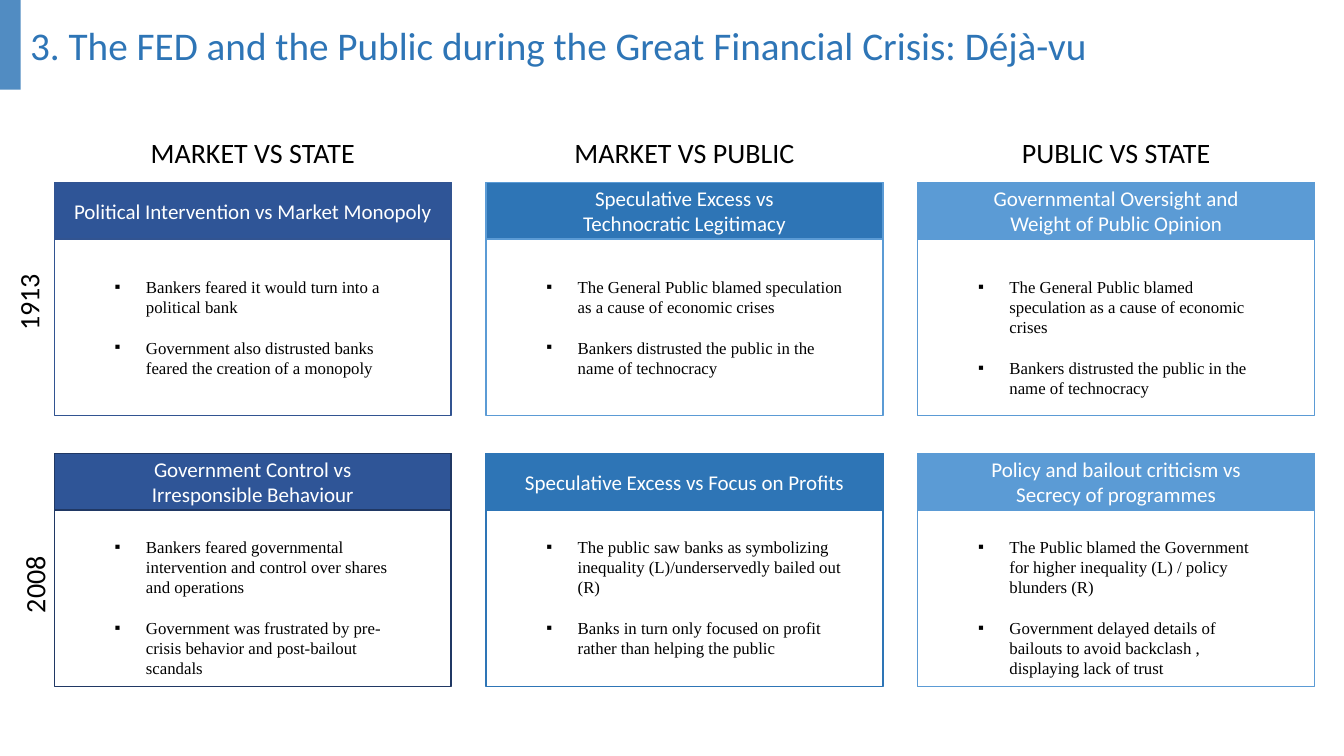
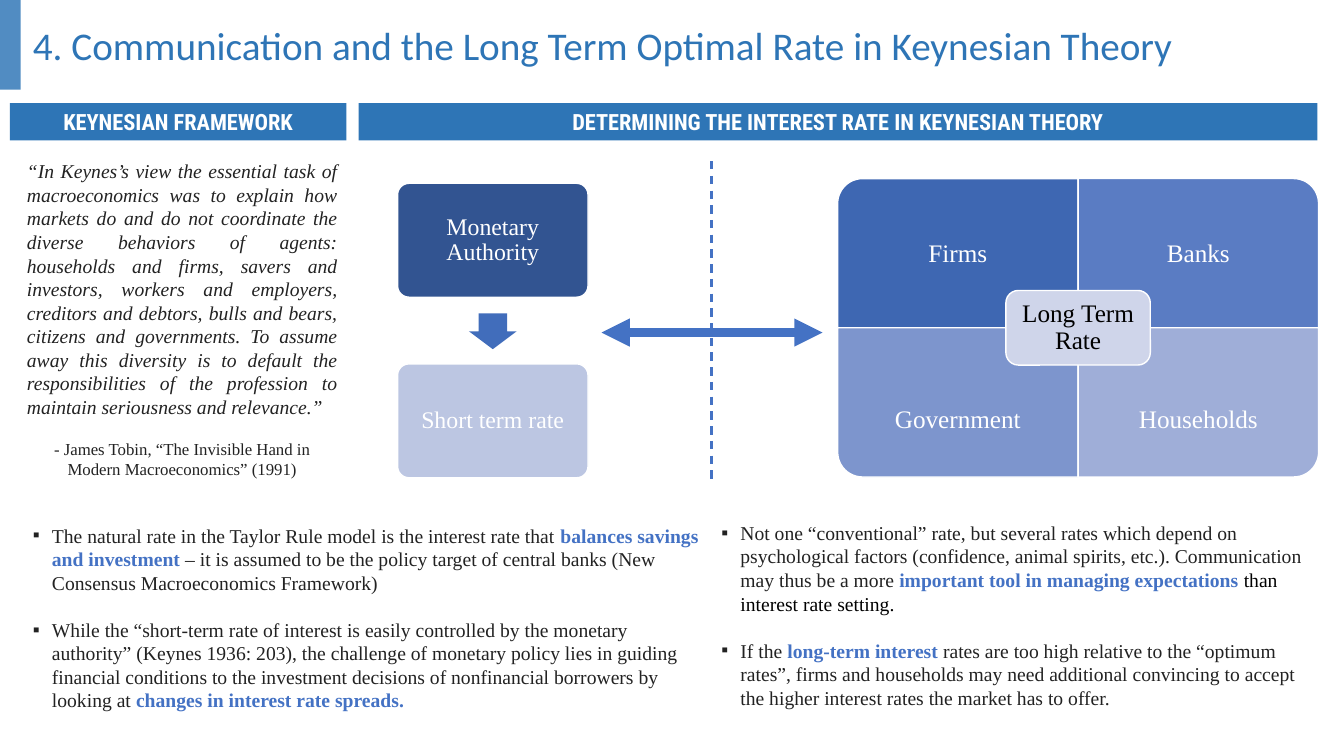
from lxml import etree
from pptx import Presentation
from pptx.dml.color import RGBColor
from pptx.enum.dml import MSO_LINE
from pptx.enum.shapes import MSO_CONNECTOR, MSO_SHAPE as SHAPE
from pptx.enum.text import MSO_ANCHOR as ANCHOR, PP_ALIGN as ALIGN
from pptx.oxml.ns import qn
from pptx.util import Cm, Pt


class Theme:
    blue = "2E75B6"
    navy = "2F5597"
    sky = "5B9BD5"
    accent = "4472C4"
    white = "FFFFFF"
    black = "000000"
    ink = "222222"
    sans = "Calibri"
    condensed = "Roboto Condensed"
    serif = "Times New Roman"
    title = 28
    heading = 20
    quadrant = 18
    step = 17
    bar = 16
    card = 15
    body = 14
    small = 12
    line_gap = 1.2  # height of one empty line, in type sizes


def add_box(slide, kind, left, top, width, height, fill=None, line=None, rotation=0):
    """Add a preset shape, or a text box if kind is None; lengths in centimetres."""
    place = Cm(left), Cm(top), Cm(width), Cm(height)
    if kind is None:
        return slide.shapes.add_textbox(*place)
    shape = slide.shapes.add_shape(kind, *place)
    shape.shadow.inherit = False
    shape.rotation = rotation
    if fill:
        shape.fill.solid()
        shape.fill.fore_color.rgb = RGBColor.from_string(fill)
    else:
        shape.fill.background()
    if line:
        shape.line.color.rgb = RGBColor.from_string(line)
        shape.line.width = Pt(1)
    else:
        shape.line.fill.background()
    return shape


def write_text(shape, *paragraphs, size=Theme.body, font=Theme.serif, color=Theme.black,
               bold=False, italic=False, align=ALIGN.LEFT, anchor=ANCHOR.TOP,
               spacing=None, gap=0, bullet=None, inset=None):
    """Append paragraphs; each is a string or a list of (text, run format) pairs.

    bullet is (left margin, hanging indent) and inset the side margin, in centimetres.
    """
    frame = shape.text_frame
    frame.word_wrap = True
    frame.vertical_anchor = anchor
    if inset is not None:
        frame.margin_left = frame.margin_right = Cm(inset)
        frame.margin_top = frame.margin_bottom = Cm(inset)
    for content in paragraphs:
        first = frame.paragraphs[0]
        paragraph = frame.add_paragraph() if first.runs else first
        paragraph.alignment = align
        paragraph.line_spacing = spacing
        paragraph.space_after = Pt(gap)
        if bullet:
            margin, hanging = bullet
            properties = paragraph._p.get_or_add_pPr()
            properties.set("marL", str(Cm(margin)))
            properties.set("indent", str(-Cm(hanging)))
            etree.SubElement(properties, qn("a:buFont")).set("typeface", font)
            etree.SubElement(properties, qn("a:buChar")).set("char", "▪")
        for text, changes in [(content, {})] if isinstance(content, str) else content:
            run = paragraph.add_run()
            run.text = text
            run.font.name = font
            run.font.size = Pt(size)
            run.font.italic = italic
            run.font.bold = changes.get("bold", bold)
            run.font.color.rgb = RGBColor.from_string(changes.get("color", color))


presentation = Presentation()
presentation.slide_width = Cm(33.87)
presentation.slide_height = Cm(19.05)

# Band and title shared by both slides
slides = []
for title, left in [
    ("3. The FED and the Public during the Great Financial Crisis: Déjà-vu", 0.51),
    ("4. Communication and the Long Term Optimal Rate in Keynesian Theory", 0.58),
]:
    slide = presentation.slides.add_slide(presentation.slide_layouts[6])
    band = add_box(slide, SHAPE.RECTANGLE, 0, 0, 0.52, 2.26, Theme.blue)
    band_color = band._element.spPr.find(qn("a:solidFill"))[0]
    etree.SubElement(band_color, qn("a:alpha")).set("val", "83000")
    write_text(add_box(slide, None, left, 0.4, 33, 1.45), title,
               size=Theme.title, font=Theme.sans, color=Theme.blue)
    slides.append(slide)
conflicts, theory = slides

# Slide 1: grid of conflicts, one column per pair and one row per year
card_left, card_pitch, card_width, card_height = 1.37, 10.88, 10, 5.87
header_height = 1.42
label_width, label_height = 5.89, 1.12
columns = [  # heading, header fill, bullet text width
    ("MARKET VS STATE", Theme.navy, 9.04),
    ("MARKET VS PUBLIC", Theme.blue, 9.4),
    ("PUBLIC VS STATE", Theme.sky, 9.04),
]
public_and_banks = ["The General Public blamed speculation as a cause of economic crises",
                    "Bankers distrusted the public in the name of technocracy"]
rows = [  # year, label centre, card top, bullet top, cards (outline, header, bullets)
    ("1913", (0.71, 7.62), 4.6, 6.85, [
        ("325491", ["Political Intervention vs Market Monopoly"],
         ["Bankers feared it would turn into a political bank",
          "Government also distrusted banks feared the creation of a monopoly"]),
        (Theme.sky, ["Speculative Excess vs", "Technocratic Legitimacy"], public_and_banks),
        (Theme.sky, ["Governmental Oversight and", "Weight of Public Opinion"],
         public_and_banks),
    ]),
    ("2008", (0.86, 14.73), 11.43, 13.4, [
        ("203864", ["Government Control vs", "Irresponsible Behaviour"],
         ["Bankers feared governmental intervention and control over shares and operations",
          "Government was frustrated by pre-crisis behavior and post-bailout scandals"]),
        (Theme.blue, ["Speculative Excess vs Focus on Profits"],
         ["The public saw banks as symbolizing inequality (L)/underservedly bailed out (R)",
          "Banks in turn only focused on profit rather than helping the public"]),
        (Theme.sky, ["Policy and bailout criticism vs", "Secrecy of programmes"],
         ["The Public blamed the Government for higher inequality (L) / policy blunders (R)",
          "Government delayed details of bailouts to avoid backclash , "
          "displaying lack of trust"]),
    ]),
]
heading_format = dict(size=Theme.heading, font=Theme.sans,
                      align=ALIGN.CENTER, anchor=ANCHOR.MIDDLE)

for index, (heading, _, _) in enumerate(columns):
    left = card_left + index * card_pitch
    write_text(add_box(conflicts, None, left, 3.14, card_width, header_height),
               heading, **heading_format)

for year, (center_x, center_y), card_top, text_top, cards in rows:
    label = add_box(conflicts, None, center_x - label_width / 2,
                    center_y - label_height / 2, label_width, label_height)
    label.rotation = 270
    write_text(label, year, **heading_format)
    for index, (outline, header, bullets) in enumerate(cards):
        _, header_fill, text_width = columns[index]
        left = card_left + index * card_pitch
        add_box(conflicts, SHAPE.RECTANGLE, left, card_top, card_width, card_height,
                line=outline)
        header_box = add_box(conflicts, SHAPE.RECTANGLE, left, card_top, card_width,
                             header_height, header_fill, outline)
        write_text(header_box, *header, size=Theme.card, font=Theme.sans,
                   color=Theme.white, align=ALIGN.CENTER, anchor=ANCHOR.MIDDLE)
        write_text(add_box(conflicts, None, left, text_top, text_width, 3.8), *bullets,
                   size=Theme.small, gap=Theme.small * Theme.line_gap, bullet=(2.06, 0.79))

# Slide 2: section bars
for text, left, width in [
    ("KEYNESIAN FRAMEWORK", 0.25, 8.48),
    ("DETERMINING THE INTEREST RATE IN KEYNESIAN THEORY", 9.04, 24.16),
]:
    write_text(add_box(theory, SHAPE.RECTANGLE, left, 2.6, width, 0.94, Theme.blue), text,
               size=Theme.bar, font=Theme.condensed, color=Theme.white, bold=True,
               align=ALIGN.CENTER, anchor=ANCHOR.MIDDLE)

# Quotation
quote = add_box(theory, None, 0.43, 3.89, 8.33, 8.38)
write_text(
    quote,
    "“In Keynes’s view the essential task of macroeconomics was to explain how markets do "
    "and do not coordinate the diverse behaviors of agents: households and firms, savers "
    "and investors, workers and employers, creditors and debtors, bulls and bears, citizens "
    "and governments. To assume away this diversity is to default the responsibilities of "
    "the profession to maintain seriousness and relevance.”",
    color=Theme.ink, italic=True, align=ALIGN.JUSTIFY, gap=Theme.small * Theme.line_gap)
write_text(quote, "- James Tobin, “The Invisible Hand in Modern Macroeconomics” (1991)",
           size=Theme.small, color=Theme.ink, align=ALIGN.CENTER)

# Four sectors around the long term rate
diagram_format = dict(align=ALIGN.CENTER, anchor=ANCHOR.MIDDLE, spacing=0.9)
sector_left, sector_top, sector_width, sector_height = 21.11, 4.5, 6.06, 3.76
sectors = [  # name, fill, rotation, column, row
    ("Firms", "3E67B2", 270, 0, 0),
    ("Banks", "5A7CC3", 0, 1, 0),
    ("Government", "7D95CD", 180, 0, 1),
    ("Households", "9FAED8", 90, 1, 1),
]
for name, fill, rotation, column, row in sectors:
    left = sector_left + column * sector_width
    top = sector_top + row * sector_height
    width, height = sector_width, sector_height
    if rotation % 180:
        width, height = height, width
    add_box(theory, SHAPE.ROUND_1_RECTANGLE, left + (sector_width - width) / 2,
            top + (sector_height - height) / 2, width, height, fill, Theme.white, rotation)
    label_top = (5, 9.19)[row]
    write_text(add_box(theory, None, left, label_top, sector_width, 2.82), name,
               size=Theme.quadrant, color=Theme.white, inset=0.36, **diagram_format)

rate_width, rate_height = 3.64, 1.88
rate = add_box(theory, SHAPE.ROUNDED_RECTANGLE, sector_left + sector_width - rate_width / 2,
               sector_top + sector_height - rate_height / 2, rate_width, rate_height,
               "CFD5EA", Theme.white)
write_text(rate, "Long Term Rate", size=Theme.quadrant, inset=0.27, **diagram_format)

# Monetary authority sets the short term rate
for text, top, fill in [("Monetary Authority", 4.62, "325491"),
                        ("Short term rate", 9.17, "BCC6E2")]:
    step = add_box(theory, SHAPE.ROUNDED_RECTANGLE, 10.02, top, 4.8, 2.87, fill, Theme.white)
    step.adjustments[0] = 0.1
    write_text(step, text, size=Theme.step, color=Theme.white, inset=0.27, **diagram_format)
down_arrow = add_box(theory, SHAPE.DOWN_ARROW, 11.82, 7.9, 1.2, 0.9, "416DBB")
down_arrow.adjustments[0] = 0.6
down_arrow.adjustments[1] = 0.5

# Two-way arrow across the dashed divider
for start, end, width, is_arrow in [
    ((15.16, 8.38), (20.73, 8.38), 6.75, True),
    ((17.93, 4.06), (17.93, 12.14), 1.5, False),
]:
    connector = theory.shapes.add_connector(MSO_CONNECTOR.STRAIGHT,
                                            *map(Cm, start), *map(Cm, end))
    connector.line.color.rgb = RGBColor.from_string(Theme.accent)
    connector.line.width = Pt(width)
    if is_arrow:
        for tag in ("a:headEnd", "a:tailEnd"):
            etree.SubElement(connector.line._get_or_add_ln(), qn(tag)).set("type", "triangle")
    else:
        connector.line.dash_style = MSO_LINE.DASH
    etree.SubElement(connector._element.spPr, qn("a:effectLst"))

# Arguments below the diagram
emphasis = dict(color=Theme.accent, bold=True)
arguments = [
    (0.58, 13.07, 17.35, [
        [("The natural rate in the Taylor Rule model is the interest rate that ", {}),
         ("balances savings and investment", emphasis),
         (" – it is assumed to be the policy target of central banks "
          "(New Consensus Macroeconomics Framework)", {})],
        [("While the “short-term rate of interest is easily controlled by the monetary "
          "authority” (Keynes 1936: 203), the challenge of monetary policy lies in guiding "
          "financial conditions to the investment decisions of nonfinancial borrowers by "
          "looking at ", {}),
         ("changes in interest rate spreads.", emphasis)],
    ]),
    (17.93, 13, 15.27, [
        [("Not one “conventional” rate, but several rates which depend on psychological "
          "factors (confidence, animal spirits, etc.). Communication may thus be a more ", {}),
         ("important tool in managing expectations ", emphasis),
         ("than interest rate setting.", dict(color=Theme.black))],
        [("If the ", {}),
         ("long-term interest ", emphasis),
         ("rates are too high relative to the “optimum rates”, firms and households may need "
          "additional convincing to accept the higher interest rates the market has to "
          "offer.", {})],
    ]),
]
for left, top, width, paragraphs in arguments:
    write_text(add_box(theory, None, left, top, width, 5.1), *paragraphs, color=Theme.ink,
               gap=Theme.body * Theme.line_gap, bullet=(0.48, 0.48))

presentation.save("out.pptx")
